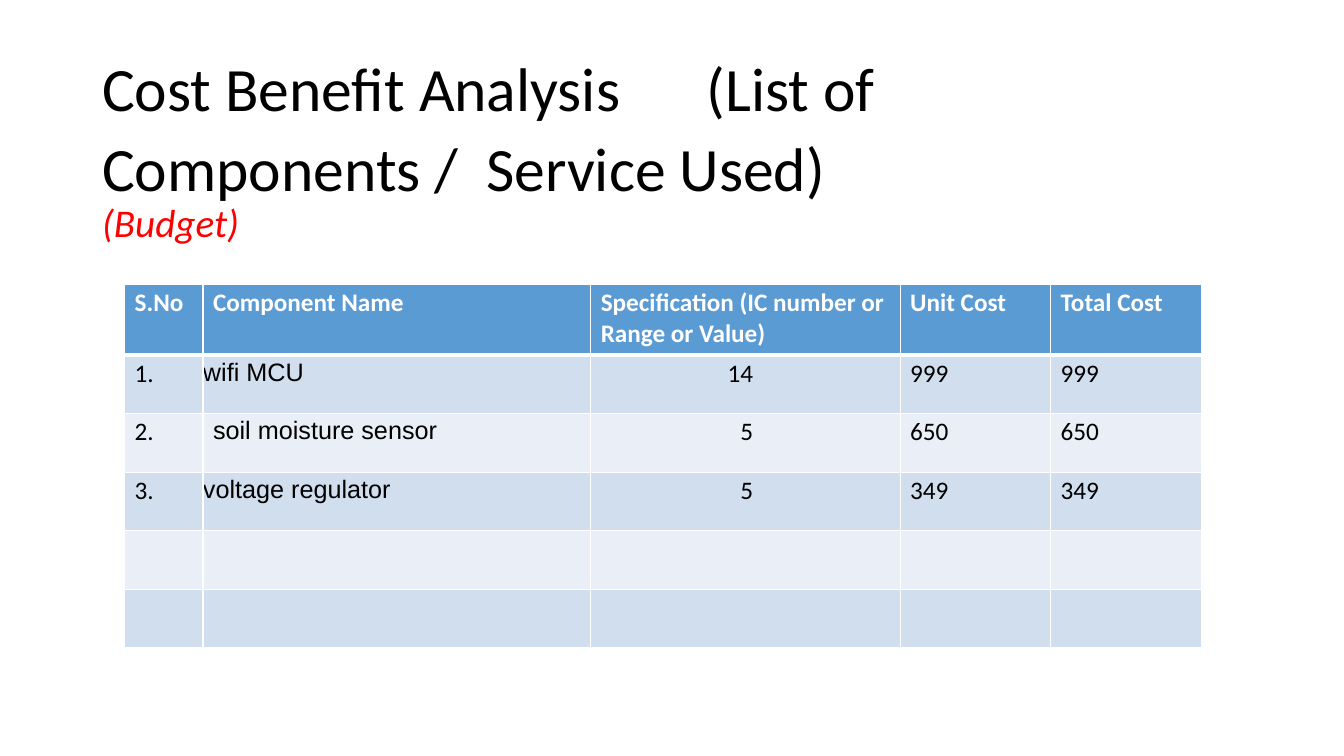
from dataclasses import dataclass

from pptx import Presentation
from pptx.dml.color import RGBColor
from pptx.enum.text import MSO_ANCHOR as Anchor, MSO_AUTO_SIZE as AutoSize, PP_ALIGN as Align
from pptx.oxml import parse_xml
from pptx.oxml.ns import nsdecls
from pptx.slide import Slide
from pptx.table import _Cell as Cell
from pptx.text.text import TextFrame, _Paragraph as Paragraph
from pptx.util import Pt


@dataclass(frozen=True)
class Theme:
    black: str = "000000"
    white: str = "FFFFFF"
    red: str = "FF0000"
    header_fill: str = "5B9BD4"
    band_fills: tuple[str, str] = ("D0DEEE", "E9EEF7")
    body_font: str = "Calibri"
    component_font: str = "Arial"
    title_size: float = 44
    budget_size: float = 28
    table_size: float = 18


THEME = Theme()


@dataclass(frozen=True)
class TextStyle:
    size: float
    color: str
    font: str = THEME.body_font
    bold: bool = False
    italic: bool = False


@dataclass(frozen=True)
class Component:
    number: str
    name: str
    specification: str
    unit_cost: str
    total_cost: str
    name_indent: float = 0

    def texts(self) -> tuple[str, ...]:
        return (self.number, self.name, self.specification, self.unit_cost, self.total_cost)


HEADERS = (
    "S.No",
    "Component Name",
    "Specification (IC number or\nRange or Value)",
    "Unit Cost",
    "Total Cost",
)
COMPONENTS = (
    Component("1.", "wifi MCU", "14", "999", "999"),
    Component("2.", "soil moisture sensor", "5", "650", "650", 7.2),
    Component("3.", "voltage regulator", "5", "349", "349"),
)
COLUMN_WIDTHS = (56, 277, 221, 107.5, 107.5)
HEADER_HEIGHT, ROW_HEIGHT = 50.4, 41.8
ROW_COUNT = 6
NAME_COLUMN, SPECIFICATION_COLUMN = 1, 2
CELL_INDENT, SPECIFICATION_INDENT = 7.2, 105
THIN, THICK = 1, 3
TITLE_TAB_STEP = 72


def set_indents(paragraph: Paragraph, left: float = 0, right: float = 0) -> None:
    properties = paragraph._p.get_or_add_pPr()
    properties.set("marL", str(Pt(left)))
    properties.set("marR", str(Pt(right)))
    properties.set("indent", "0")


def format_paragraph(paragraph: Paragraph, style: TextStyle, align: Align = Align.LEFT) -> None:
    paragraph.alignment = align
    for run in paragraph.runs:
        run.font.name = style.font
        run.font.size = Pt(style.size)
        run.font.bold = style.bold
        run.font.italic = style.italic
        run.font.color.rgb = RGBColor.from_string(style.color)


def prepare_frame(frame: TextFrame, top_margin: float) -> None:
    frame.word_wrap = True
    frame.auto_size = AutoSize.NONE
    frame.vertical_anchor = Anchor.TOP
    frame.margin_left = frame.margin_right = frame.margin_bottom = 0
    frame.margin_top = Pt(top_margin)


def add_title(slide: Slide) -> None:
    title = slide.shapes.title
    title.left, title.top, title.width, title.height = Pt(72), Pt(24.5), Pt(780), Pt(102)
    frame = title.text_frame
    prepare_frame(frame, 7.2)
    frame.text = "Cost Benefit Analysis\t(List of Components /  Service Used)"
    paragraph = frame.paragraphs[0]
    set_indents(paragraph, left=0.9)
    paragraph._p.get_or_add_pPr().set("defTabSz", str(Pt(TITLE_TAB_STEP)))
    paragraph.line_spacing = 1.08
    format_paragraph(paragraph, TextStyle(THEME.title_size, THEME.black))


def add_budget(slide: Slide) -> None:
    frame = slide.shapes.add_textbox(Pt(72), Pt(141), Pt(100), Pt(35)).text_frame
    prepare_frame(frame, 0.9)
    frame.text = "(Budget)"
    paragraph = frame.paragraphs[0]
    set_indents(paragraph, left=0.9)
    format_paragraph(paragraph, TextStyle(THEME.budget_size, THEME.red, italic=True))


def set_borders(cell: Cell, top: float, bottom: float) -> None:
    properties = cell._tc.get_or_add_tcPr()
    widths = {"lnL": THIN, "lnR": THIN, "lnT": top, "lnB": bottom}
    for position, (tag, width) in enumerate(widths.items()):
        border = parse_xml(
            f'<a:{tag} {nsdecls("a")} w="{Pt(width)}"><a:solidFill>'
            f'<a:srgbClr val="{THEME.white}"/></a:solidFill></a:{tag}>'
        )
        properties.insert(position, border)


def fill_cell(cell: Cell, text: str, row: int, column: int, name_indent: float) -> None:
    is_header = row == 0
    color = THEME.header_fill if is_header else THEME.band_fills[(row - 1) % 2]
    cell.fill.solid()
    cell.fill.fore_color.rgb = RGBColor.from_string(color)
    set_borders(cell, THICK if row == 1 else THIN, THICK if is_header else THIN)
    cell.margin_left = cell.margin_right = cell.margin_bottom = 0
    cell.margin_top = Pt(2.3)
    cell.text_frame.text = text

    style = TextStyle(THEME.table_size, THEME.white, bold=True)
    left, right, align = CELL_INDENT, 0, Align.LEFT
    if not is_header:
        font = THEME.component_font if column == NAME_COLUMN else THEME.body_font
        style = TextStyle(THEME.table_size, THEME.black, font)
        if column == NAME_COLUMN:
            left = name_indent
        elif column == SPECIFICATION_COLUMN:
            left, right, align = 0, SPECIFICATION_INDENT, Align.RIGHT
    for paragraph in cell.text_frame.paragraphs:
        set_indents(paragraph, left, right)
        format_paragraph(paragraph, style, align)


def add_cost_table(slide: Slide) -> None:
    height = HEADER_HEIGHT + (ROW_COUNT - 1) * ROW_HEIGHT
    table = slide.shapes.add_table(
        ROW_COUNT, len(HEADERS), Pt(89), Pt(203.3), Pt(sum(COLUMN_WIDTHS)), Pt(height)
    ).table
    table.horz_banding = False
    for column, width in zip(table.columns, COLUMN_WIDTHS):
        column.width = Pt(width)
    blank = Component("", "", "", "", "")
    components = COMPONENTS + (blank,) * (ROW_COUNT - 1 - len(COMPONENTS))
    for row in range(ROW_COUNT):
        table.rows[row].height = Pt(ROW_HEIGHT if row else HEADER_HEIGHT)
        component = components[row - 1] if row else blank
        texts = component.texts() if row else HEADERS
        for column, text in enumerate(texts):
            fill_cell(table.cell(row, column), text, row, column, component.name_indent)


def main() -> None:
    presentation = Presentation()
    presentation.slide_width, presentation.slide_height = Pt(960), Pt(540)
    slide = presentation.slides.add_slide(presentation.slide_layouts[5])
    add_title(slide)
    add_budget(slide)
    add_cost_table(slide)
    presentation.save("out.pptx")


if __name__ == "__main__":
    main()
